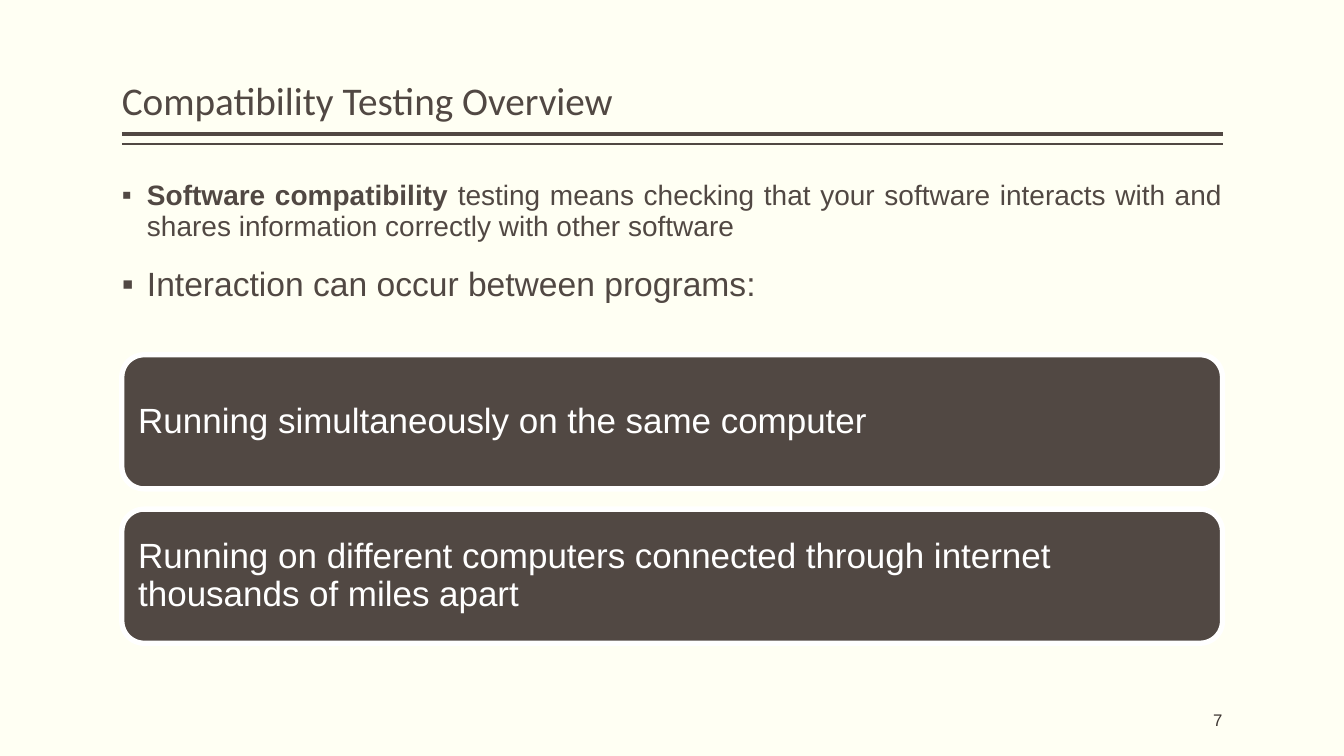
from dataclasses import dataclass

from lxml import etree
from pptx import Presentation
from pptx.dml.color import RGBColor
from pptx.enum.shapes import MSO_CONNECTOR, MSO_SHAPE
from pptx.enum.text import MSO_ANCHOR, MSO_AUTO_SIZE, PP_ALIGN
from pptx.oxml.ns import qn
from pptx.util import Cm, Pt

STRAIGHT = MSO_CONNECTOR.STRAIGHT
ROUNDED = MSO_SHAPE.ROUNDED_RECTANGLE
TOP, MIDDLE, BOTTOM = MSO_ANCHOR.TOP, MSO_ANCHOR.MIDDLE, MSO_ANCHOR.BOTTOM
LEFT, RIGHT, JUSTIFY = PP_ALIGN.LEFT, PP_ALIGN.RIGHT, PP_ALIGN.JUSTIFY
NO_AUTOFIT = MSO_AUTO_SIZE.NONE


@dataclass(frozen=True)
class Theme:
    """Colours, fonts and type sizes of the slide."""
    background: RGBColor = RGBColor(0xFF, 0xFF, 0xF3)
    brown: RGBColor = RGBColor(0x51, 0x48, 0x43)
    dark: RGBColor = RGBColor(0x3D, 0x36, 0x32)
    white: RGBColor = RGBColor(0xFF, 0xFF, 0xFF)
    heading: str = "Calibri"
    body: str = "Arial"
    title_size: int = 28
    definition_size: int = 20
    lead_size: int = 24
    card_size: int = 25
    number_size: int = 12


THEME = Theme()
BULLETS = (
    (THEME.definition_size, (
        ("Software compatibility ", True),
        ("testing means checking that your software interacts with and "
         "shares information correctly with other software", False))),
    (THEME.lead_size, (("Interaction can occur between programs:", False),)),
)
CARDS = (
    "Running simultaneously on the same computer",
    "Running on different computers connected through internet thousands of miles apart",
)


def set_frame(frame, anchor, horizontal, vertical):
    """Set wrapping, anchor and margins of a text frame."""
    frame.auto_size = NO_AUTOFIT
    frame.word_wrap = True
    frame.vertical_anchor = anchor
    frame.margin_left = frame.margin_right = horizontal
    frame.margin_top = frame.margin_bottom = vertical


def format_paragraph(paragraph, font_name, size, color, alignment=LEFT):
    """Set the alignment and font of a paragraph."""
    paragraph.alignment = alignment
    paragraph.line_spacing = 0.9
    paragraph.font.name = font_name
    paragraph.font.size = Pt(size)
    paragraph.font.color.rgb = color


def add_bullet(paragraph):
    """Give a paragraph a square bullet with a hanging indent."""
    properties = paragraph._p.get_or_add_pPr()
    properties.set("marL", str(Cm(0.635)))
    properties.set("indent", str(-Cm(0.635)))
    etree.SubElement(properties, qn("a:buFont"), typeface=THEME.body)
    etree.SubElement(properties, qn("a:buChar"), char="▪")


def add_header(slide, left, top, width, height):
    """Place the title and the double rule below it."""
    title = slide.shapes.title
    title.left, title.top, title.width, title.height = left, top, width, height
    set_frame(title.text_frame, BOTTOM, 0, Cm(0.13))
    title.text_frame.text = "Compatibility Testing Overview"
    format_paragraph(title.text_frame.paragraphs[0], THEME.heading,
                     THEME.title_size, THEME.brown)
    for offset, weight in ((Cm(0.13), 3), (Cm(0.38), 1)):
        y = top + height + offset
        rule = slide.shapes.add_connector(STRAIGHT, left, y, left + width, y)
        rule.line.color.rgb = THEME.brown
        rule.line.width = Pt(weight)
        etree.SubElement(rule._element.spPr, qn("a:effectLst"))


def add_bullets(slide, left, top, width, height):
    """Place the justified bullet list."""
    frame = slide.shapes.add_textbox(left, top, width, height).text_frame
    set_frame(frame, TOP, 0, Cm(0.13))
    for index, (size, runs) in enumerate(BULLETS):
        paragraph = frame.add_paragraph() if index else frame.paragraphs[0]
        add_bullet(paragraph)
        format_paragraph(paragraph, THEME.body, size, THEME.brown, JUSTIFY)
        paragraph.space_before = Pt(18 if index else 0)
        for text, bold in runs:
            run = paragraph.add_run()
            run.text = text
            run.font.bold = bold


def add_cards(slide, left, top, width, height):
    """Stack the rounded cards evenly in the box."""
    gap = Cm(0.51)
    card_height = (height - gap * (len(CARDS) - 1)) // len(CARDS)
    for index, text in enumerate(CARDS):
        card = slide.shapes.add_shape(
            ROUNDED, left, top + index * (card_height + gap), width, card_height)
        card.shadow.inherit = False
        card.fill.solid()
        card.fill.fore_color.rgb = THEME.brown
        card.line.color.rgb = THEME.white
        card.line.width = Pt(3.78)
        set_frame(card.text_frame, MIDDLE, Cm(0.25), Cm(0.25))
        card.text_frame.text = text
        format_paragraph(card.text_frame.paragraphs[0], THEME.body,
                         THEME.card_size, THEME.white)


def add_page_number(slide, left, top, width, height):
    """Place the page number at the right of its box."""
    frame = slide.shapes.add_textbox(left, top, width, height).text_frame
    set_frame(frame, MIDDLE, 0, Cm(0.13))
    frame.text = "7"
    format_paragraph(frame.paragraphs[0], THEME.body, THEME.number_size,
                     THEME.dark, RIGHT)


def main():
    """Build and save the slide."""
    presentation = Presentation()
    presentation.slide_width, presentation.slide_height = Cm(33.87), Cm(19.05)
    slide = presentation.slides.add_slide(presentation.slide_layouts[5])
    slide.background.fill.solid()
    slide.background.fill.fore_color.rgb = THEME.background
    left, width = Cm(3.07), Cm(27.74)
    add_header(slide, left, Cm(0.2), width, Cm(3.05))
    add_cards(slide, left, Cm(8.94), width, Cm(7.27))
    add_bullets(slide, left, Cm(4.45), width, Cm(4.2))
    number_width = Cm(5.08)
    add_page_number(slide, left + width - number_width, Cm(17.65),
                    number_width, Cm(1.02))
    presentation.save("out.pptx")


if __name__ == "__main__":
    main()
